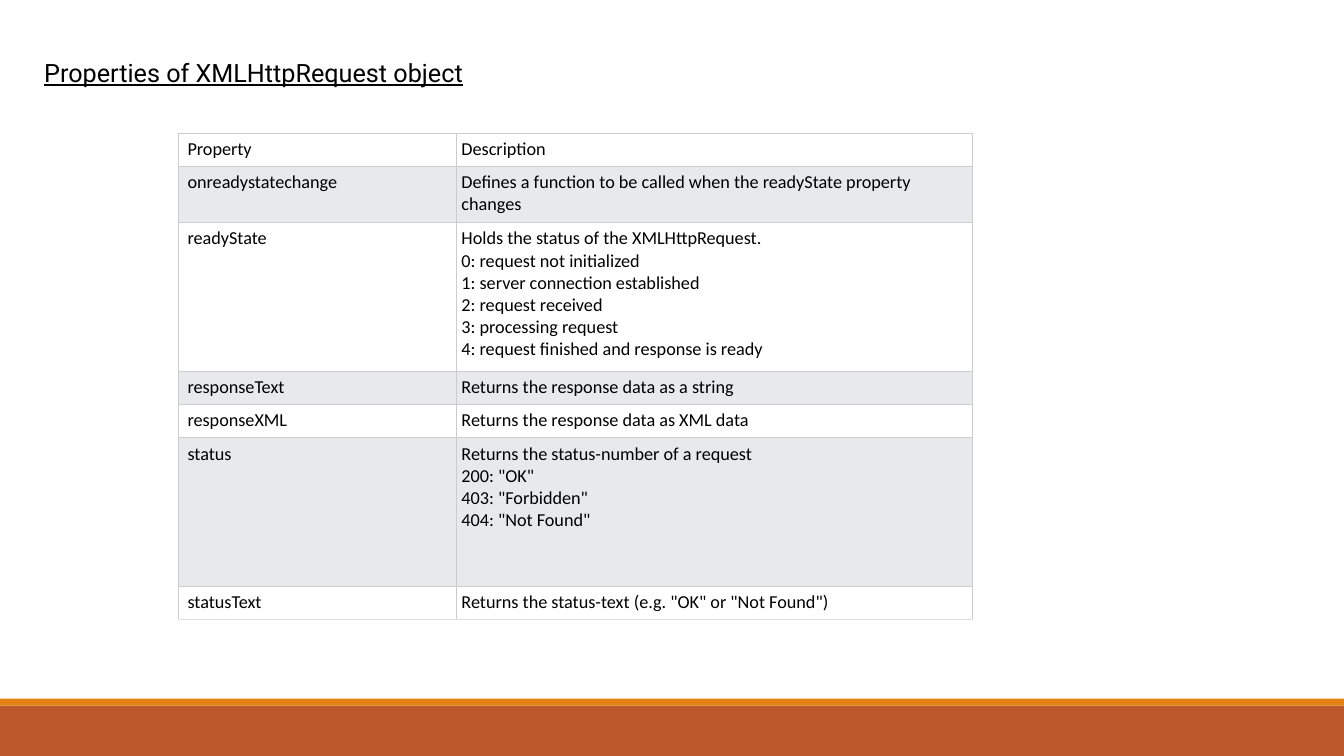
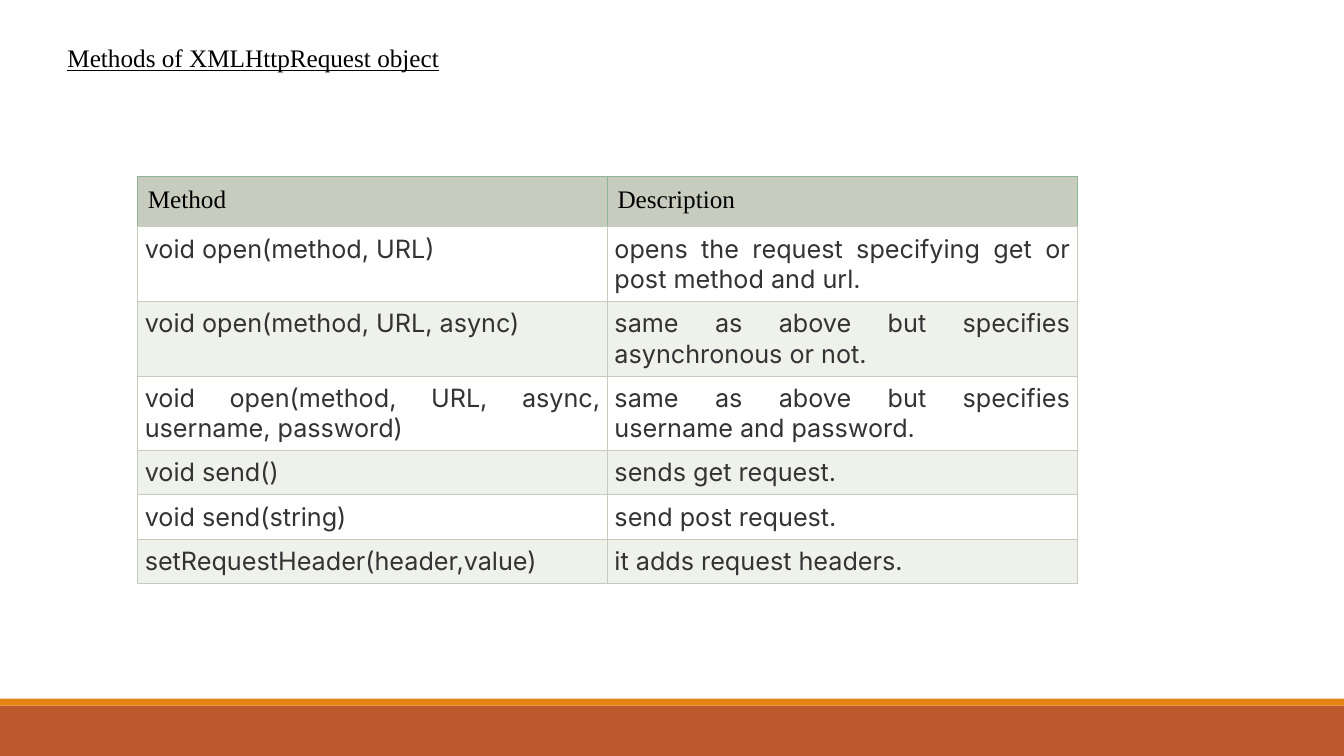
from dataclasses import dataclass

from lxml import etree
from pptx import Presentation
from pptx.dml.color import RGBColor
from pptx.enum.shapes import MSO_SHAPE
from pptx.enum.text import PP_ALIGN
from pptx.oxml.ns import qn
from pptx.util import Inches, Pt

RECTANGLE = MSO_SHAPE.RECTANGLE
LEFT = PP_ALIGN.LEFT
JUSTIFY = PP_ALIGN.JUSTIFY

PAGE_WIDTH = Inches(13.33)
PAGE_HEIGHT = Inches(7.5)
BLANK_LAYOUT = 6

BLACK, WHITE, CHARCOAL = "000000", "FFFFFF", "333333"
RUST, ORANGE = "BD582C", "E48312"
SILVER, PALE_SILVER, MIST = "CCCCCC", "DDDDDD", "E7E9EB"
SAGE, GREEN, PALE_SAGE = "C7CCBE", "90B596", "EFF1EB"
BORDER_WIDTH = Pt(0.6)
BORDER_TAGS = ("a:lnL", "a:lnR", "a:lnT", "a:lnB")
MARGINS = ("margin_left", "margin_top", "margin_right", "margin_bottom")


@dataclass(frozen=True)
class Box:
    """A region given in percent of the slide's width and height."""
    left: float
    top: float
    width: float
    height: float

    def frame(self):
        """Return left, top, width and height as slide lengths."""
        return (int(PAGE_WIDTH * self.left / 100), int(PAGE_HEIGHT * self.top / 100),
                int(PAGE_WIDTH * self.width / 100), int(PAGE_HEIGHT * self.height / 100))


@dataclass(frozen=True)
class CellStyle:
    """The look of one table cell; margins and borders follow their constants."""
    font: dict
    margins: tuple
    borders: tuple
    align: int = LEFT


BANDS = ((Box(0, 93.33, 100, 6.67), RUST), (Box(0, 92.4, 100, 0.93), ORANGE))

PROPERTY_ROWS = (
    ("Property", "Description"),
    ("onreadystatechange",
     "Defines a function to be called when the readyState property changes"),
    ("readyState",
     "Holds the status of the XMLHttpRequest.\n0: request not initialized\n"
     "1: server connection established\n2: request received\n"
     "3: processing request\n4: request finished and response is ready"),
    ("responseText", "Returns the response data as a string"),
    ("responseXML", "Returns the response data as XML data"),
    ("status",
     'Returns the status-number of a request\n200: "OK"\n403: "Forbidden"\n404: "Not Found"'),
    ("statusText", 'Returns the status-text (e.g. "OK" or "Not Found")'),
)

METHOD_ROWS = (
    ("Method", "Description"),
    ("void open(method, URL)", "opens the request specifying get or post method and url."),
    ("void open(method, URL, async)", "same as above but specifies asynchronous or not."),
    ("void open(method, URL, async, username, password)",
     "same as above but specifies username and password."),
    ("void send()", "sends get request."),
    ("void send(string)", "send post request."),
    ("setRequestHeader(header,value)", "it adds request headers."),
)


def rgb(value):
    """Turn a hex string into a colour."""
    return RGBColor.from_string(value)


def font_format(name, size, color, **extra):
    """Collect the format values of a font."""
    return {"name": name, "size": Pt(size), "color": color, **extra}


def write_text(text_frame, text, font, align):
    """Fill a text frame, one paragraph a line, in one format."""
    text_frame.text = text
    for para in text_frame.paragraphs:
        para.alignment = align
        for span in para.runs:
            for key, value in font.items():
                if key == "color":
                    span.font.color.rgb = rgb(value)
                else:
                    setattr(span.font, key, value)


def add_bands(page):
    """Draw the coloured bands along the foot of the slide."""
    for box, color in BANDS:
        band = page.shapes.add_shape(RECTANGLE, *box.frame())
        band.shadow.inherit = False
        band.fill.solid()
        band.fill.fore_color.rgb = rgb(color)
        band.line.fill.background()


def add_title(page, box, text, font_name, align):
    """Write the underlined slide title."""
    text_frame = page.shapes.add_textbox(*box.frame()).text_frame
    text_frame.word_wrap = True
    write_text(text_frame, text, font_format(font_name, 18, BLACK, underline=True), align)


def set_borders(cell, colors):
    """Draw the left, right, top and bottom borders of a cell."""
    properties = cell._tc.get_or_add_tcPr()
    for tag, color in zip(BORDER_TAGS, colors):
        line = etree.SubElement(properties, qn(tag), w=str(BORDER_WIDTH))
        fill = etree.SubElement(line, qn("a:solidFill"))
        etree.SubElement(fill, qn("a:srgbClr"), val=color)


def fill_cell(cell, text, style, fill):
    """Write and format one table cell."""
    write_text(cell.text_frame, text, style.font, style.align)
    for side, margin in zip(MARGINS, style.margins):
        setattr(cell, side, Inches(margin))
    set_borders(cell, style.borders)
    cell.fill.solid()
    cell.fill.fore_color.rgb = rgb(fill)


def add_grid(page, box, rows, column_weights, row_weights, style_of, fills):
    """Place a table whose columns and rows share the box by weight."""
    left, top, width, height = box.frame()
    table = page.shapes.add_table(len(rows), len(rows[0]), left, top, width, height).table
    table.first_row = table.horz_banding = False
    for column, weight in zip(table.columns, column_weights):
        column.width = int(width * weight / sum(column_weights))
    for row, weight in zip(table.rows, row_weights):
        row.height = int(height * weight / sum(row_weights))
    for row_index, texts in enumerate(rows):
        for column_index, text in enumerate(texts):
            fill_cell(table.cell(row_index, column_index), text,
                      style_of(row_index, column_index), fills[row_index])


def property_style(row, column):
    """Style the property table: wide first margin, paler last border."""
    bottom = PALE_SILVER if row == len(PROPERTY_ROWS) - 1 else SILVER
    return CellStyle(font_format("Calibri", 13, BLACK),
                     (0.05 if column else 0.09, 0.05, 0.05, 0.05),
                     (SILVER, SILVER, SILVER, bottom))


def method_style(row, column):
    """Style the method table: a serif header above justified rows."""
    if row == 0:
        return CellStyle(font_format("Times New Roman", 18, BLACK), (0.1,) * 4,
                         (GREEN, GREEN, GREEN, SAGE))
    return CellStyle(font_format("Inter", 18, CHARCOAL), (0.07,) * 4, (SAGE,) * 4, JUSTIFY)


def add_page(deck):
    """Add a blank slide with the shared bands."""
    page = deck.slides.add_slide(deck.slide_layouts[BLANK_LAYOUT])
    add_bands(page)
    return page


def add_properties_page(deck):
    """Build the slide listing the object's properties."""
    page = add_page(deck)
    add_title(page, Box(2.55, 6.93, 97.45, 5.33),
              "Properties of XMLHttpRequest object", "Roboto", JUSTIFY)
    add_grid(page, Box(13.28, 17.6, 59.1, 64.4), PROPERTY_ROWS, (35, 65),
             (33, 56, 148, 33, 33, 148, 33), property_style, (WHITE, MIST) * 3 + (WHITE,))


def add_methods_page(deck):
    """Build the slide listing the object's methods."""
    page = add_page(deck)
    add_title(page, Box(4.28, 4.93, 95.72, 9.47),
              "Methods of XMLHttpRequest object", "Times New Roman", LEFT)
    add_grid(page, Box(10.25, 23.33, 69.9, 53.33), METHOD_ROWS, (1, 1),
             (50, 74, 74, 74, 44, 44, 44), method_style, (SAGE,) + (WHITE, PALE_SAGE) * 3)


def main():
    """Build and save the deck."""
    deck = Presentation()
    deck.slide_width, deck.slide_height = PAGE_WIDTH, PAGE_HEIGHT
    add_properties_page(deck)
    add_methods_page(deck)
    deck.save("out.pptx")


if __name__ == "__main__":
    main()
